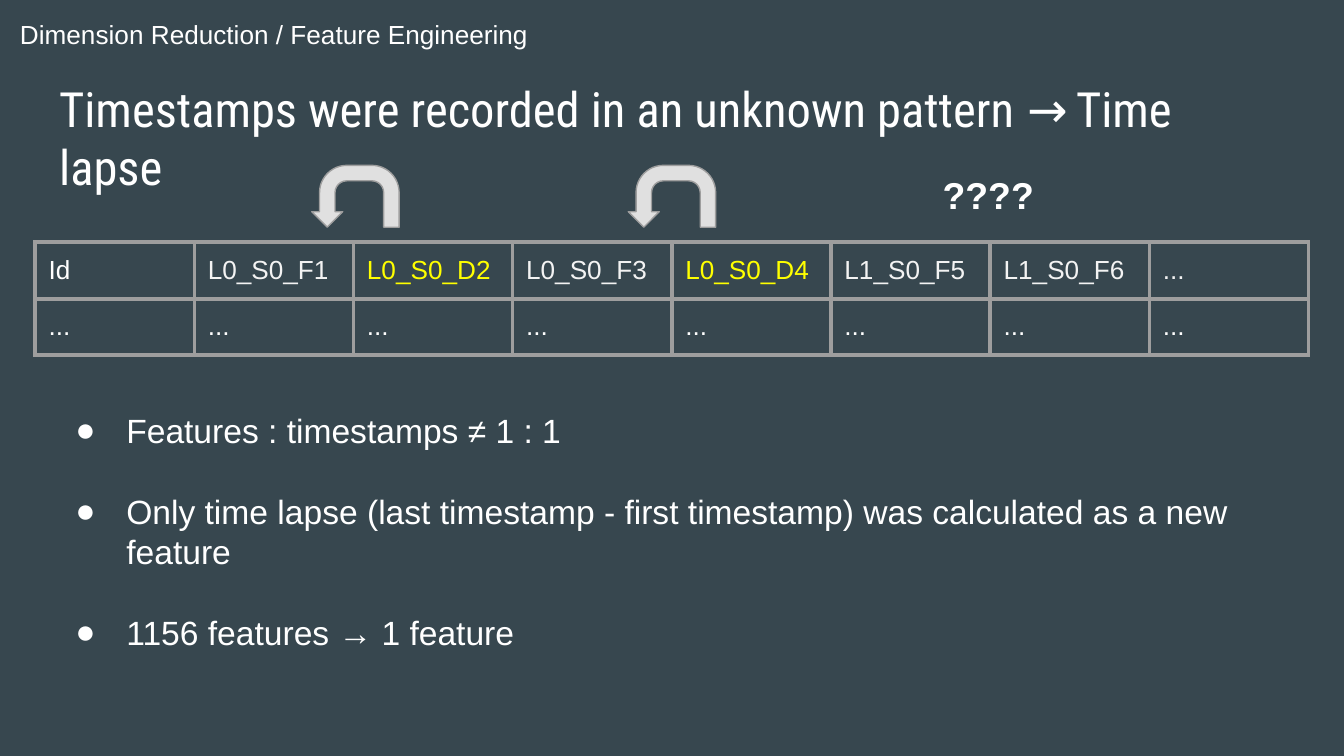
from lxml.etree import SubElement
from pptx import Presentation
from pptx.dml.color import RGBColor
from pptx.enum.shapes import MSO_SHAPE
from pptx.enum.text import MSO_ANCHOR, MSO_AUTO_SIZE, PP_ALIGN
from pptx.oxml import parse_xml
from pptx.oxml.ns import nsdecls, qn
from pptx.util import Inches, Pt

COLORS = {
    "background": "37474F",
    "text": "FFFFFF",
    "feature": "F3F3F3",
    "timestamp": "FFFF00",
    "arrow": "E0E0E0",
    "line": "9E9E9E",
}

deck = Presentation()
deck.slide_width = Inches(10)
deck.slide_height = deck.slide_width * 9 // 16


def area(left, top, width, height):
    column, row = deck.slide_width / 100, deck.slide_height / 100
    return [round(left * column), round(top * row), round(width * column), round(height * row)]


def write(frame, *lines, size=14, font="Arial", color="text", bold=False, gap=0, bullet=None):
    frame.word_wrap = True
    frame.auto_size = MSO_AUTO_SIZE.NONE
    frame.vertical_anchor = MSO_ANCHOR.TOP
    frame.margin_left = frame.margin_right = frame.margin_top = frame.margin_bottom = Inches(0.1)
    for index, line in enumerate(lines):
        para = frame.add_paragraph() if index else frame.paragraphs[0]
        para.alignment = PP_ALIGN.LEFT
        para.line_spacing = 1.0
        para.space_before = Pt(gap if index else 0)
        para.space_after = Pt(0)
        if bullet:
            properties = para._p.get_or_add_pPr()
            properties.set("marL", str(Inches(0.5)))
            properties.set("indent", str(Inches(-0.38)))
            paint = SubElement(properties, qn("a:buClr"))
            SubElement(paint, qn("a:srgbClr"), val=COLORS[color])
            SubElement(properties, qn("a:buFont"), typeface=font)
            SubElement(properties, qn("a:buChar"), char=bullet)
        span = para.add_run()
        span.text = line
        span.font.name = font
        span.font.size = Pt(size)
        span.font.bold = bold
        span.font.color.rgb = RGBColor.from_string(COLORS[color])


page = deck.slides.add_slide(deck.slide_layouts[1])
page.background.fill.solid()
page.background.fill.fore_color.rgb = RGBColor.from_string(COLORS["background"])

title = page.shapes.title
title.left, title.top, title.width, title.height = area(3.4, 8.71, 93.2, 11.2)
write(title.text_frame, "Timestamps were recorded in an unknown pattern → Time lapse",
      size=26, font="Roboto Condensed")

for left in (23.2, 46.75):
    arrow = page.shapes.add_shape(MSO_SHAPE.U_TURN_ARROW, *area(left, 21.87, 6.5, 8.18))
    arrow._element.spPr.get_or_add_xfrm().set("flipH", "1")
    arrow.adjustments[3] = 0.44
    arrow.adjustments[4] = 1
    arrow.shadow.inherit = False
    arrow.fill.solid()
    arrow.fill.fore_color.rgb = RGBColor.from_string(COLORS["arrow"])
    arrow.line.color.rgb = RGBColor.from_string(COLORS["line"])
    arrow.line.width = Pt(0.75)

question = page.shapes.add_textbox(*area(69.15, 20.98, 8.9, 9.78))
write(question.text_frame, "????", size=20, bold=True)

findings = page.placeholders[1]
findings.left, findings.top, findings.width, findings.height = area(3.4, 52.44, 93.2, 11.2)
write(findings.text_frame,
      "Features : timestamps ≠ 1 : 1",
      "Only time lapse (last timestamp - first timestamp) was calculated as a new feature",
      "1156 features → 1 feature",
      size=18, gap=21.6, bullet="●")

headings = ["Id", "L0_S0_F1", "L0_S0_D2", "L0_S0_F3", "L0_S0_D4", "L1_S0_F5", "L1_S0_F6", "..."]
rows = [headings, ["..."] * len(headings)]
table = page.shapes.add_table(len(rows), len(headings), *area(2.62, 32.05, 94.76, 14.93)).table
table.first_row = table.horz_banding = False
for row_index, row in enumerate(rows):
    for column_index, label in enumerate(row):
        cell = table.cell(row_index, column_index)
        if "_D" in label:
            color = "timestamp"
        elif row_index == 0 and column_index > 0:
            color = "feature"
        else:
            color = "text"
        write(cell.text_frame, label, color=color)
        cell.margin_left = cell.margin_right = cell.margin_top = cell.margin_bottom = Inches(0.1)
        for side in "LRTB":
            cell._tc.get_or_add_tcPr().append(parse_xml(
                f'<a:ln{side} {nsdecls("a")} w="{Pt(2.25)}"><a:solidFill>'
                f'<a:srgbClr val="{COLORS["line"]}"/></a:solidFill></a:ln{side}>'))
        cell.fill.background()

section = page.shapes.add_textbox(*area(0.5, 0.71, 40.2, 4.98))
write(section.text_frame, "Dimension Reduction / Feature Engineering")

deck.save("out.pptx")
